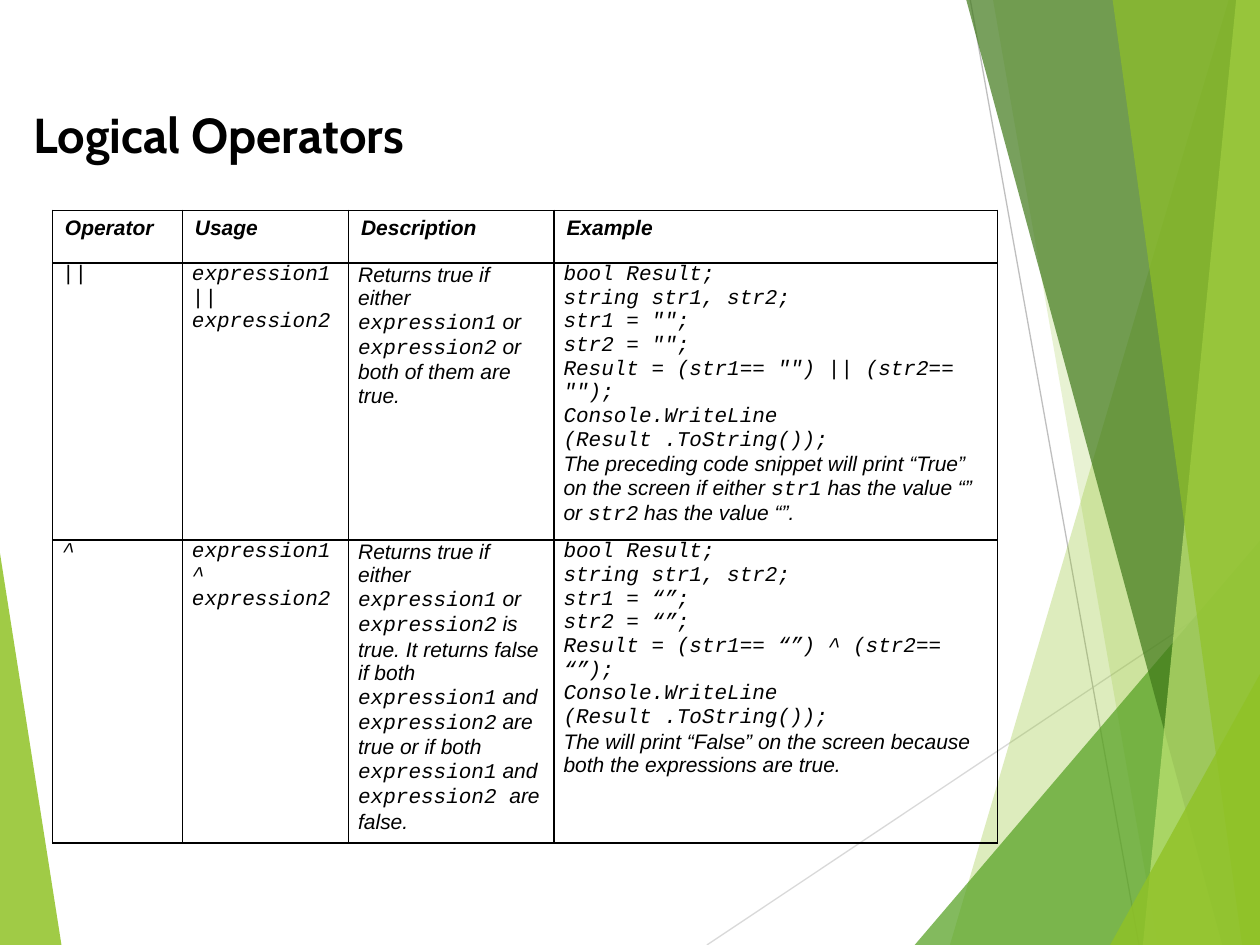
from lxml.etree import SubElement
from pptx import Presentation
from pptx.dml.color import RGBColor
from pptx.enum.shapes import MSO_CONNECTOR as Connector
from pptx.enum.text import MSO_AUTO_SIZE as AutoSize
from pptx.oxml import parse_xml
from pptx.oxml.ns import nsdecls, qn
from pptx.util import Cm, Pt

WIDTH, HEIGHT = 25.4, 19.05
BLACK = "000000"
BODY_FONT, CODE_FONT = "Arial", "Courier New"

# Right-hand facets: start of the slanted edge (x, y), its foot x, colour, opacity %
FACETS = [
    (24.77, 0, 19.15, "90C226", 30),
    (20.02, 0, 23.34, "90C226", 20),
    (WIDTH, 10.9, 18.44, "54A021", 72),
    (19.48, 0, 24.64, "3F7819", 70),
    (24.92, 0, 23.04, "C0E474", 70),
    (22.43, 0, 25.04, "90C226", 65),
    (WIDTH, 13.59, 22.38, "90C226", 80),
]

COLUMNS = [2.62, 3.35, 4.14, 8.94]
ROWS = [1.06, 5.59, 6.1]
HEADINGS = ["Operator", "Usage", "Description", "Example"]

# Backticks enclose code; each list item is a paragraph
OPERATORS = [
    [
        ["`||`"],
        ["`expression1 || expression2`"],
        ["Returns true if either `expression1` or `expression2` or both of them are true."],
        [
            "`bool Result;`",
            "`string str1, str2;`",
            '`str1 = "";`',
            '`str2 = "";`',
            '`Result = (str1== "") || (str2== "");`',
            "`Console.WriteLine (Result .ToString());`",
            "The preceding code snippet will print “True” on the screen if either "
            "`str1` has the value “” or `str2` has the value “”.",
        ],
    ],
    [
        ["`^`"],
        ["`expression1 ^ expression2`"],
        ["Returns true if either `expression1` or `expression2` is true. "
         "It returns false if both `expression1` and `expression2` are true "
         "or if both `expression1` and `expression2 `are false."],
        [
            "`bool Result;`",
            "`string str1, str2;`",
            "`str1 = “”;`",
            "`str2 = “”;`",
            "`Result = (str1== “”) ^ (str2== “”);`",
            "`Console.WriteLine (Result .ToString());`",
            "The will print “False” on the screen because both the expressions are true.",
        ],
    ],
]


def color(hex_code):
    return RGBColor.from_string(hex_code)


def style_run(run, font, size, bold=False, italic=False):
    run.font.name = font
    run.font.size = Pt(size)
    run.font.bold = bold
    run.font.italic = italic
    run.font.color.rgb = color(BLACK)


def add_facet(slide, corners, fill, opacity):
    start, *others = [(Cm(x), Cm(y)) for x, y in corners]
    builder = slide.shapes.build_freeform(*start, scale=1.0)
    builder.add_line_segments(others, close=True)
    facet = builder.convert_to_shape()
    facet.shadow.inherit = False
    facet.line.fill.background()
    facet.fill.solid()
    facet.fill.fore_color.rgb = color(fill)
    tint = facet.fill._xPr.find(qn("a:solidFill"))[0]
    SubElement(tint, qn("a:alpha"), val=str(opacity * 1000))


def add_hairline(slide, x1, y1, x2, y2, stroke):
    hairline = slide.shapes.add_connector(
        Connector.STRAIGHT, Cm(x1), Cm(y1), Cm(x2), Cm(y2))
    hairline.line.color.rgb = color(stroke)
    hairline.line.width = Pt(0.75)
    SubElement(hairline._element.spPr, qn("a:effectLst"))


def add_backdrop(slide, left, top, width, height):
    right, bottom = left + width, top + height
    add_facet(slide, [(left, top + 11.15), (left + 1.24, bottom), (left, bottom)],
              "90C226", 85)
    add_hairline(slide, left + 14.25, bottom, right, top + 11.61, "D9D9D9")
    add_hairline(slide, left + 19.56, top, left + 22.96, bottom, "BFBFBF")
    for x, y, foot, fill, opacity in FACETS:
        corners = [(left + x, top + y), (left + foot, bottom),
                   (right, bottom), (right, top + y)]
        add_facet(slide, corners, fill, opacity)


def add_title(slide, left, top, width, height):
    title = slide.shapes.add_textbox(Cm(left), Cm(top), Cm(width), Cm(height))
    frame = title.text_frame
    frame.word_wrap = True
    frame.auto_size = AutoSize.SHAPE_TO_FIT_TEXT
    frame.text = "Logical Operators"
    style_run(frame.paragraphs[0].runs[0], "Cabin", 28, bold=True)


def add_borders(cell):
    properties = cell._tc.get_or_add_tcPr()
    for index, side in enumerate(["lnL", "lnR", "lnT", "lnB"]):
        properties.insert(index, parse_xml(
            f'<a:{side} {nsdecls("a")} w="{Pt(1)}"><a:solidFill>'
            f'<a:srgbClr val="{BLACK}"/></a:solidFill></a:{side}>'))


def fill_cell(cell, lines, side_margin, end_margin, bold):
    cell.margin_left = cell.margin_right = Cm(side_margin)
    cell.margin_top = cell.margin_bottom = Cm(end_margin)
    cell.fill.background()
    add_borders(cell)
    frame = cell.text_frame
    frame.text = "\n".join(line.replace("`", "") for line in lines)
    for paragraph, line in zip(frame.paragraphs, lines):
        paragraph.text = ""
        for index, part in enumerate(line.split("`")):
            if part:
                run = paragraph.add_run()
                run.text = part
                style_run(run, CODE_FONT if index % 2 else BODY_FONT, 12, bold, italic=True)


def add_operator_table(slide, left, top):
    operators = slide.shapes.add_table(
        len(ROWS), len(COLUMNS), Cm(left), Cm(top),
        Cm(sum(COLUMNS)), Cm(sum(ROWS))).table
    for column, width in zip(operators.columns, COLUMNS):
        column.width = Cm(width)
    for row, height in zip(operators.rows, ROWS):
        row.height = Cm(height)
    for column, heading in enumerate(HEADINGS):
        fill_cell(operators.cell(0, column), [heading], 0.25, 0.13, bold=True)
    for row, entries in enumerate(OPERATORS, start=1):
        for column, lines in enumerate(entries):
            fill_cell(operators.cell(row, column), lines, 0.19, 0, bold=False)


def main():
    deck = Presentation()
    deck.slide_width, deck.slide_height = Cm(WIDTH), Cm(HEIGHT)
    slide = deck.slides.add_slide(deck.slide_layouts[6])
    add_backdrop(slide, 0, 0, WIDTH, HEIGHT)
    add_title(slide, 0.43, 1.98, 24.33, 1.45)
    add_operator_table(slide, 1.06, 4.24)
    deck.save("out.pptx")


if __name__ == "__main__":
    main()
